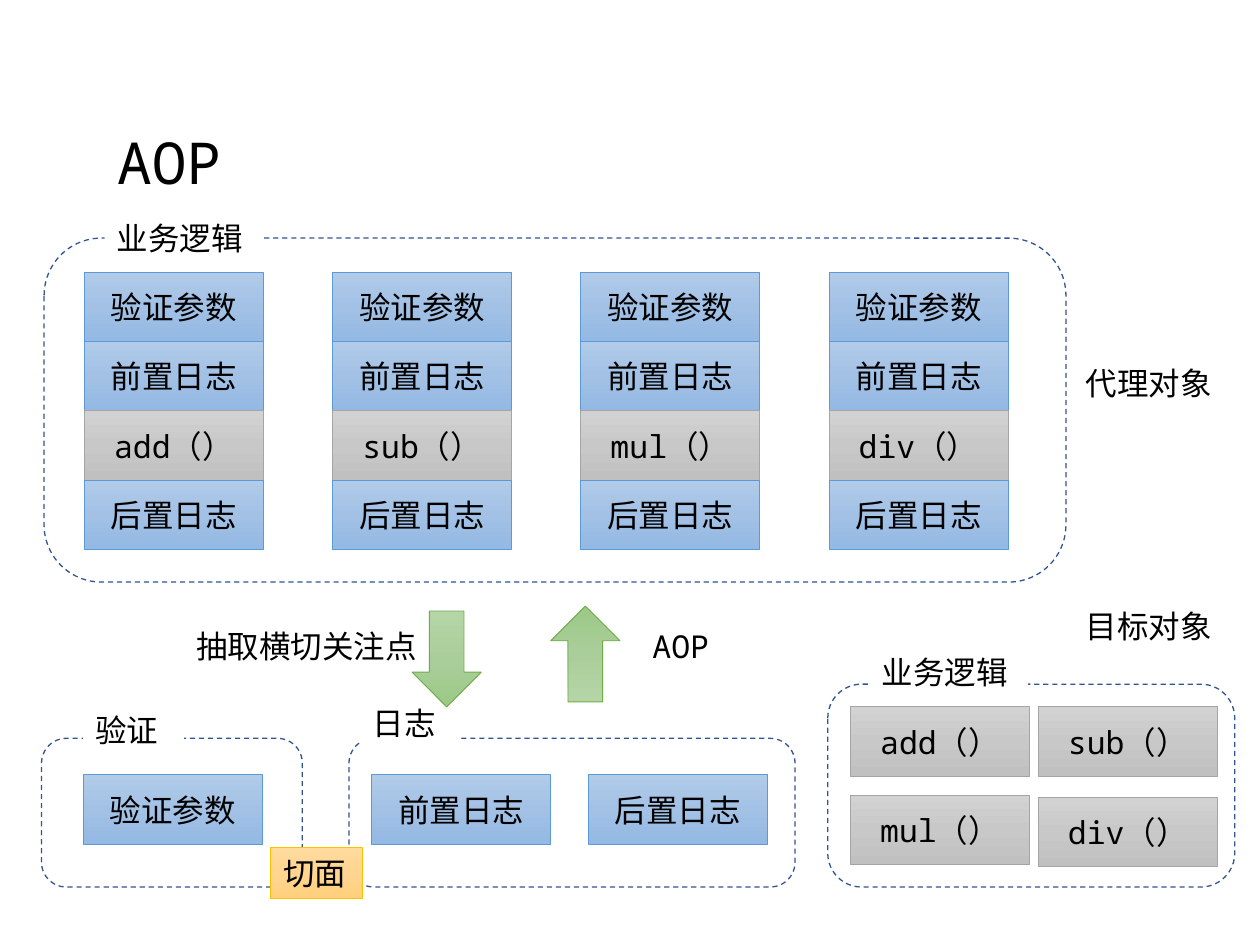
from copy import deepcopy

from lxml import etree
from pptx import Presentation
from pptx.dml.color import RGBColor
from pptx.enum.dml import MSO_LINE
from pptx.enum.shapes import MSO_SHAPE
from pptx.enum.text import MSO_ANCHOR, PP_ALIGN
from pptx.oxml.ns import qn
from pptx.util import Inches, Pt

RECT, ROUNDED, DOWN = MSO_SHAPE.RECTANGLE, MSO_SHAPE.ROUNDED_RECTANGLE, MSO_SHAPE.DOWN_ARROW
DASH = MSO_LINE.DASH
TOP, MIDDLE = MSO_ANCHOR.TOP, MSO_ANCHOR.MIDDLE
LEFT, CENTER = PP_ALIGN.LEFT, PP_ALIGN.CENTER
FONT = "Noto Sans Mono"
# Line colour, then gradient stops from top to bottom
BLUE = ("5B9BD5", "B1CBE9", "A3C1E5", "93B9E4")
GRAY = ("A5A5A5", "D2D2D2", "C8C8C8", "C0C0C0")
GREEN = ("70AD47", "B5D5A7", "AACE9A", "9CC987")
GOLD = ("FFC000", "FFDB9E", "FFD590", "FFD07C")
BOX_W, BOX_H = 1.42, 0.55
LABEL_H = 0.4


def write(sp, text, size=18, align=LEFT, anchor=TOP):
    tf = sp.text_frame
    tf.word_wrap = True
    tf.vertical_anchor = anchor
    p = tf.paragraphs[0]
    p.alignment = align
    r = p.add_run()
    r.text = text
    r.font.size = Pt(size)
    r.font.name = FONT
    r.font.color.rgb = RGBColor.from_string("000000")
    etree.SubElement(r.font._element, qn("a:ea"), typeface=FONT)
    return p


def add_gradient_shape(kind, x, y, w, h, palette):
    sp = s.shapes.add_shape(kind, Inches(x), Inches(y), Inches(w), Inches(h))
    sp.shadow.inherit = False
    line_color, *stop_colors = palette
    sp.line.color.rgb = RGBColor.from_string(line_color)
    sp.line.width = Pt(0.5)
    sp.fill.gradient()
    sp.fill.gradient_angle = 270
    stop_list = next(sp._element.iter(qn("a:gsLst")))
    stop_list.insert(1, deepcopy(stop_list[0]))
    for stop, position, color in zip(sp.fill.gradient_stops, (0, 0.5, 1), stop_colors):
        stop.position = position
        stop.color.rgb = RGBColor.from_string(color)
    return sp


prs = Presentation()
prs.slide_width, prs.slide_height = Inches(10), Inches(7.5)
s = prs.slides.add_slide(prs.slide_layouts[5])

title = s.shapes.title
title.left, title.top = Inches(0.83), Inches(0.69)
title.width, title.height = Inches(9), Inches(1.25)
write(title, "AOP", 33, anchor=MIDDLE).line_spacing = 0.9

# Dashed frames: proxy object, target object, validation aspect, logging aspect
for x, y, w, h in [
    (0.35, 1.89, 8.11, 2.73),
    (6.57, 5.43, 3.23, 1.61),
    (0.33, 5.86, 2.07, 1.18),
    (2.77, 5.86, 3.54, 1.18),
]:
    sp = s.shapes.add_shape(ROUNDED, Inches(x), Inches(y), Inches(w), Inches(h))
    sp.shadow.inherit = False
    sp.fill.background()
    sp.line.color.rgb = RGBColor.from_string("325491")
    sp.line.width = Pt(0.75)
    sp.line.dash_style = DASH

# White labels that interrupt the frames' top edges
for text, x, y, w in [
    ("业务逻辑", 0.83, 1.69, 1.26),
    ("业务逻辑", 6.9, 5.13, 1.26),
    ("验证", 0.66, 5.59, 0.8),
    ("日志", 2.86, 5.54, 0.8),
]:
    sp = s.shapes.add_shape(RECT, Inches(x), Inches(y), Inches(w), Inches(LABEL_H))
    sp.shadow.inherit = False
    sp.fill.solid()
    sp.fill.fore_color.rgb = RGBColor.from_string("FFFFFF")
    sp.line.fill.background()
    write(sp, text)

# One column of steps per method, then the separated aspects and methods
boxes = []
for col, method in enumerate(["add（）", "sub（）", "mul（）", "div（）"]):
    for row, text in enumerate(["验证参数", "前置日志", method, "后置日志"]):
        palette = GRAY if text == method else BLUE
        boxes.append((text, 0.67 + col * 1.97, 2.16 + row * BOX_H, palette))
boxes += [
    ("验证参数", 0.66, 6.15, BLUE),
    ("前置日志", 2.95, 6.15, BLUE),
    ("后置日志", 4.67, 6.15, BLUE),
    ("add（）", 6.75, 5.61, GRAY),
    ("sub（）", 8.24, 5.61, GRAY),
    ("mul（）", 6.75, 6.31, GRAY),
    ("div（）", 8.24, 6.33, GRAY),
]
for text, x, y, palette in boxes:
    sp = add_gradient_shape(RECT, x, y, BOX_W, BOX_H, palette)
    write(sp, text, align=CENTER, anchor=MIDDLE)

for x, y, rotation in [(3.27, 4.85, 0), (4.37, 4.81, 180)]:
    add_gradient_shape(DOWN, x, y, 0.55, 0.76, GREEN).rotation = rotation

write(add_gradient_shape(RECT, 2.15, 6.73, 0.73, LABEL_H, GOLD), "切面")

for text, x, y, w in [
    ("抽取横切关注点", 1.46, 4.93, 2.12),
    ("AOP", 5.08, 4.93, 0.86),
    ("目标对象", 8.52, 4.77, 1.28),
    ("代理对象", 8.52, 2.84, 1.28),
]:
    write(s.shapes.add_textbox(Inches(x), Inches(y), Inches(w), Inches(LABEL_H)), text)

prs.save("out.pptx")
